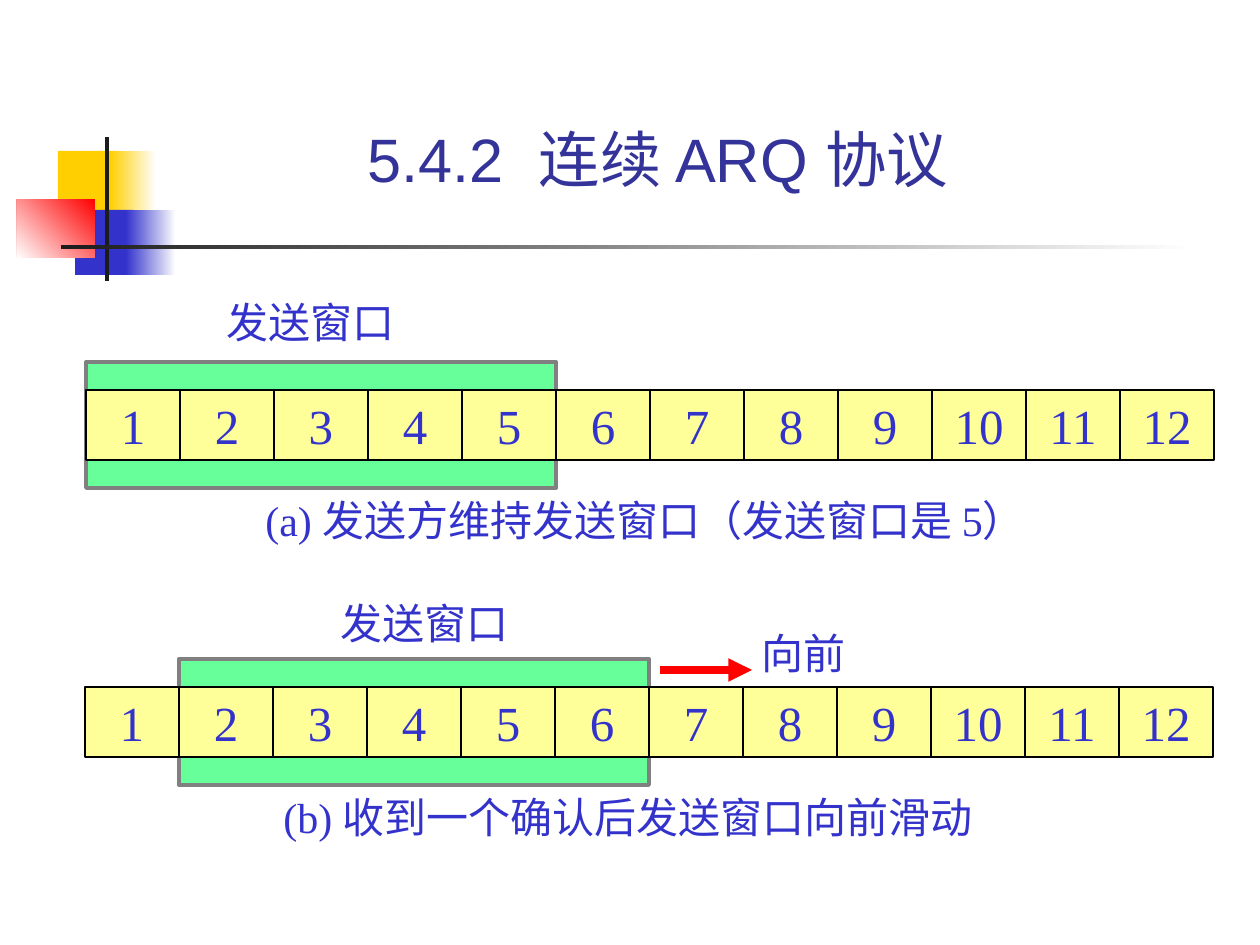
from pptx import Presentation
from pptx.dml.color import RGBColor
from pptx.enum.shapes import MSO_CONNECTOR, MSO_SHAPE
from pptx.enum.text import MSO_ANCHOR, MSO_AUTO_SIZE, PP_ALIGN
from pptx.oxml.ns import qn
from pptx.util import Emu, Pt
from lxml.etree import SubElement

SCALE = 914400 / 126
COLORS = {
    "white": "FFFFFF", "black": "000000", "gray": "808080", "dark": "1C1C1C",
    "gold": "FFCF01", "blue": "3333CC", "red": "FF0000", "title": "333399",
    "window": "66FF99", "frame": "FFFF99",
}
FRAME_COUNT = 12
CELL_WIDTH = 94
CELL_HEIGHT = 70
WINDOW_SIZE = 5
WINDOW_MARGIN = 28


def px(value):
    """Turn px into EMU."""
    return Emu(round(value * SCALE))


def color(name):
    """Look up a named colour."""
    return RGBColor.from_string(COLORS[name])


class SlideBuilder:
    """Draw elements in one style on the current slide."""

    def __init__(self, slide):
        """Keep the slide and its text style."""
        self.slide = slide
        self.font_name = "Times New Roman"
        self.text_color = "blue"

    def style(self, paragraph, size, font_name, color_name):
        """Set the font of a paragraph."""
        paragraph.font.size = Pt(size)
        paragraph.font.name = font_name
        paragraph.font.color.rgb = color(color_name)

    def title(self, parts, gap, left, top, width, height):
        """Fill the title, widening the space between its two parts."""
        title = self.slide.shapes.title
        title.left, title.top = px(left), px(top)
        title.width, title.height = px(width), px(height)
        frame = title.text_frame
        frame.auto_size = MSO_AUTO_SIZE.NONE
        frame.vertical_anchor = MSO_ANCHOR.BOTTOM
        frame.margin_right, frame.margin_bottom = px(32), px(9)
        paragraph = frame.paragraphs[0]
        paragraph.alignment = PP_ALIGN.CENTER
        number, name = parts
        for text in (number, " ", name):
            paragraph.add_run().text = text
        paragraph.runs[1].font._element.set("spc", str(gap * 100))
        self.style(paragraph, 35, "Arial", "title")

    def rectangle(self, left, top, width, height, fill, line=None, line_width=0):
        """Add a plain rectangle."""
        shape = self.slide.shapes.add_shape(
            MSO_SHAPE.RECTANGLE, px(left), px(top), px(width), px(height))
        shape.shadow.inherit = False
        shape.fill.solid()
        shape.fill.fore_color.rgb = color(fill)
        if line:
            shape.line.color.rgb = color(line)
            shape.line.width = Pt(line_width)
        else:
            shape.line.fill.background()
        return shape

    def fading_rectangle(self, left, top, width, height, fill, angle=0):
        """Add a rectangle that fades to white."""
        shape = self.rectangle(left, top, width, height, fill)
        shape.fill.gradient()
        shape.fill.gradient_angle = angle
        for stop, name in zip(shape.fill.gradient_stops, (fill, "white")):
            stop.color.rgb = color(name)
            stop.position = 0 if name == fill else 1

    def line(self, start, end, color_name, width, arrow=False):
        """Add a straight line, with an arrowhead if asked."""
        connector = self.slide.shapes.add_connector(
            MSO_CONNECTOR.STRAIGHT, *map(px, start + end))
        connector.line.color.rgb = color(color_name)
        connector.line.width = Pt(width)
        if arrow:
            SubElement(connector.line._get_or_add_ln(), qn("a:tailEnd"), type="triangle")
        SubElement(connector._element.spPr, qn("a:effectLst"))
        return connector

    def text(self, text, left, top, width, height, size):
        """Add a one-line text box."""
        box = self.slide.shapes.add_textbox(px(left), px(top), px(width), px(height))
        frame = box.text_frame
        frame.word_wrap = False
        paragraph = frame.paragraphs[0]
        paragraph.text = text
        self.style(paragraph, size, self.font_name, self.text_color)
        return frame

    def label(self, text, left, top, width):
        """Add a left-aligned label."""
        frame = self.text(text, left, top, width, 63, 24)
        frame.auto_size = MSO_AUTO_SIZE.SHAPE_TO_FIT_TEXT

    def frame_row(self, left, top, first):
        """Draw the numbered frames over the send window starting at first."""
        self.rectangle(left + first * CELL_WIDTH, top - WINDOW_MARGIN,
                       WINDOW_SIZE * CELL_WIDTH, CELL_HEIGHT + 2 * WINDOW_MARGIN,
                       "window", "gray", 2.25)
        row = self.rectangle(left, top, FRAME_COUNT * CELL_WIDTH, CELL_HEIGHT,
                             "frame", "black", 0.75)
        for index in range(FRAME_COUNT):
            x = left + index * CELL_WIDTH
            frame = self.text(str(index + 1), x, top, CELL_WIDTH, CELL_HEIGHT, 28)
            frame.vertical_anchor = MSO_ANCHOR.MIDDLE
            frame.paragraphs[0].alignment = PP_ALIGN.CENTER
            if index:
                divider = self.line((x, top), (x, top + CELL_HEIGHT), "black", 0.75)
                if index * 2 == FRAME_COUNT:
                    divider.begin_connect(row, 0)
                    divider.end_connect(row, 2)

    def ornament(self):
        """Draw the coloured squares and the rules beside the title."""
        self.rectangle(58, 151, 60, 65, "gold")
        self.fading_rectangle(110, 151, 46, 65, "gold")
        self.rectangle(75, 210, 58, 65, "blue")
        self.fading_rectangle(126, 210, 50, 65, "blue")
        self.fading_rectangle(17, 199, 78, 59, "red", 225)
        self.rectangle(105, 137, 4, 144, "dark")
        self.fading_rectangle(61, 245, 1134, 4, "dark")


def main():
    """Build and save the presentation."""
    presentation = Presentation()
    presentation.slide_width, presentation.slide_height = px(1260), px(945)
    slide = presentation.slides.add_slide(presentation.slide_layouts[5])
    builder = SlideBuilder(slide)
    builder.ornament()
    builder.title(("5.4.2", "连续 ARQ 协议"), 10, 159, 29, 1017, 175)
    builder.frame_row(86, 390, 0)
    builder.label("(a) 发送方维持发送窗口（发送窗口是 5）", 253, 488, 827)
    builder.label("发送窗口", 214, 290, 194)
    builder.frame_row(85, 687, 1)
    builder.label("(b) 收到一个确认后发送窗口向前滑动", 271, 785, 725)
    builder.line((660, 670), (752, 670), "red", 4.5, arrow=True)
    builder.label("向前", 749, 621, 114)
    builder.label("发送窗口", 328, 591, 194)
    presentation.save("out.pptx")


if __name__ == "__main__":
    main()
